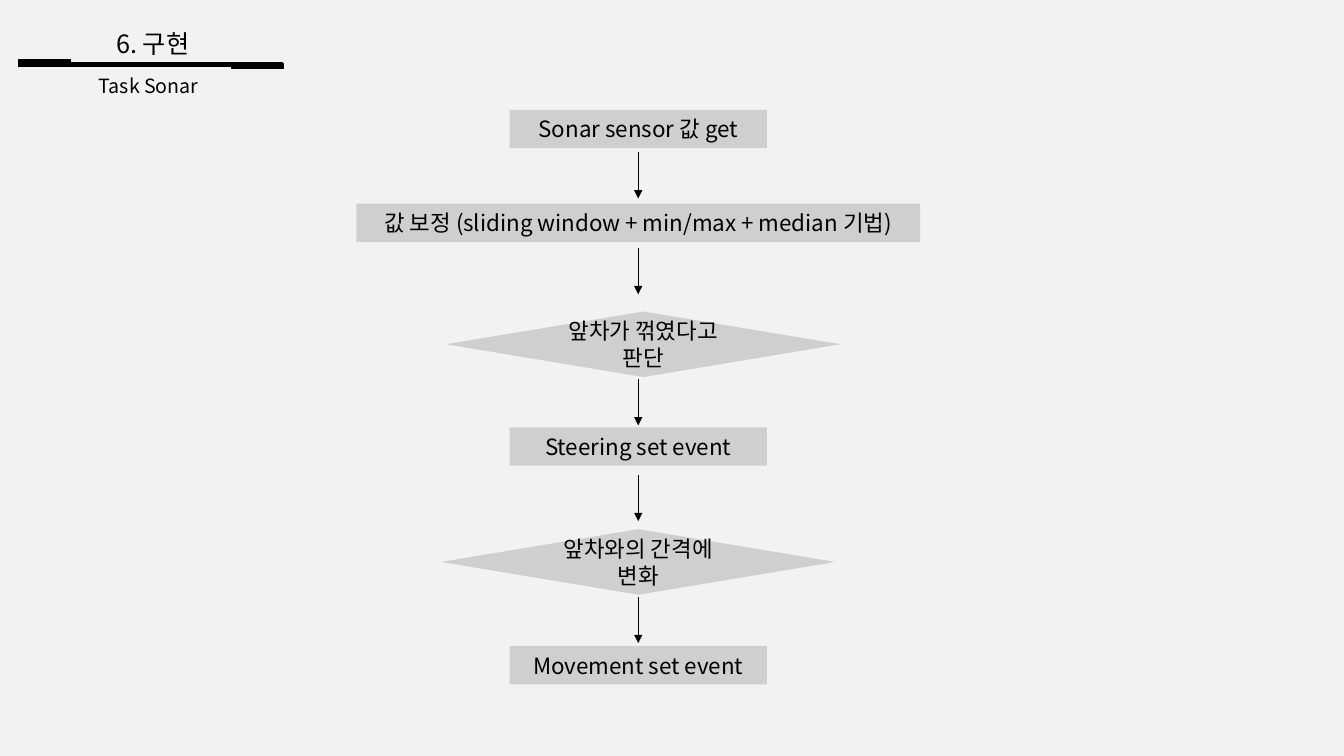
from lxml.etree import SubElement
from pptx import Presentation
from pptx.dml.color import RGBColor
from pptx.enum.shapes import MSO_CONNECTOR, MSO_SHAPE
from pptx.enum.text import MSO_ANCHOR, MSO_AUTO_SIZE, PP_ALIGN
from pptx.oxml.ns import qn
from pptx.util import Inches, Pt


def color(value):
    """Turn a hex string into a colour."""
    return RGBColor.from_string(value)


def write_text(shape, text, size=16, font="Noto Sans CJK KR", ink="000000",
               anchor=MSO_ANCHOR.MIDDLE, auto_size=MSO_AUTO_SIZE.NONE):
    """Write one centred line of formatted text in a shape."""
    frame = shape.text_frame
    frame.word_wrap = True
    frame.auto_size = auto_size
    frame.vertical_anchor = anchor
    paragraph = frame.paragraphs[0]
    paragraph.alignment = PP_ALIGN.CENTER
    run = paragraph.add_run()
    run.text = text
    run.font.size = Pt(size)
    run.font.name = font
    run.font.color.rgb = color(ink)
    SubElement(run.font._element, qn("a:ea"), typeface=font)


class FlowSlide:
    """Hold the style and the current slide of a flowchart."""

    ink = "000000"
    box_fill = "D0CECE"
    background = "F2F2F2"

    def __init__(self, presentation):
        """Add a title-only slide with a plain background."""
        self.slide = presentation.slides.add_slide(presentation.slide_layouts[5])
        self.slide.background.fill.solid()
        self.slide.background.fill.fore_color.rgb = color(self.background)

    def heading(self, shape, text, left, top, width, height, size):
        """Place a heading and write its text."""
        shape.left, shape.top = Inches(left), Inches(top)
        shape.width, shape.height = Inches(width), Inches(height)
        write_text(shape, text, size=size, ink=self.ink, anchor=MSO_ANCHOR.TOP,
                   auto_size=MSO_AUTO_SIZE.SHAPE_TO_FIT_TEXT)

    def title(self, text, *box):
        """Fill the title placeholder."""
        self.heading(self.slide.shapes.title, text, *box, size=18)

    def subtitle(self, text, *box):
        """Add the line of text under the title."""
        shape = self.slide.shapes.add_textbox(0, 0, 0, 0)
        self.heading(shape, text, *box, size=14)

    def shape(self, kind, left, top, width, height, fill, outline=None):
        """Add a flat preset shape."""
        shape = self.slide.shapes.add_shape(
            kind, Inches(left), Inches(top), Inches(width), Inches(height))
        shape.shadow.inherit = False
        shape.fill.solid()
        shape.fill.fore_color.rgb = color(fill)
        if outline:
            shape.line.color.rgb = color(outline)
            shape.line.width = Pt(1)
        else:
            shape.line.fill.background()
        return shape

    def bar(self, left, top):
        """Add a thick end of the title rule."""
        self.shape(MSO_SHAPE.RECTANGLE, left, top, 0.51, 0.05, self.ink, self.ink)

    def step(self, text, center, top, width=2.55):
        """Add a process box."""
        box = self.shape(MSO_SHAPE.RECTANGLE, center - width / 2, top, width, 0.38,
                         self.box_fill)
        write_text(box, text, ink=self.ink)

    def decision(self, text, center, top, width=3.91):
        """Add a decision diamond."""
        diamond = self.shape(MSO_SHAPE.DIAMOND, center - width / 2, top, width, 0.65,
                             self.box_fill)
        write_text(diamond, text, ink=self.ink)

    def line(self, start_x, start_y, end_x, end_y, width):
        """Add a straight line without shadow."""
        line = self.slide.shapes.add_connector(
            MSO_CONNECTOR.STRAIGHT, Inches(start_x), Inches(start_y),
            Inches(end_x), Inches(end_y))
        line.line.color.rgb = color(self.ink)
        line.line.width = Pt(width)
        SubElement(line._element.spPr, qn("a:effectLst"))
        return line

    def arrow(self, x, top):
        """Add a downward arrow."""
        arrow = self.line(x, top, x, top + 0.46, 0.5)
        SubElement(arrow.line._get_or_add_ln(), qn("a:tailEnd"), type="triangle")


def main():
    """Build the sonar task slide."""
    presentation = Presentation()
    presentation.slide_width = Inches(13.33)
    presentation.slide_height = Inches(7.5)
    flow = FlowSlide(presentation)

    flow.title("6. 구현", 0.2, 0.23, 2.63, 0.4)
    flow.line(0.18, 0.64, 2.81, 0.64, 3)
    flow.bar(0.19, 0.59)
    flow.bar(2.3, 0.63)
    flow.subtitle("Task Sonar", 0.16, 0.68, 2.63, 0.34)

    center = 6.33
    flow.step("Sonar sensor 값 get", center, 1.09)
    flow.step("값 보정 (sliding window + min/max + median 기법)", center, 2.02, width=5.59)
    flow.decision("앞차가 꺾였다고 판단", center + 0.05, 3.09)
    flow.step("Steering set event", center, 4.24)
    flow.decision("앞차와의 간격에 변화", center, 5.25)
    flow.step("Movement set event", center, 6.41)

    for top in (1.51, 2.46, 3.76, 4.71, 5.92):
        flow.arrow(center, top)

    presentation.save("out.pptx")


if __name__ == "__main__":
    main()
